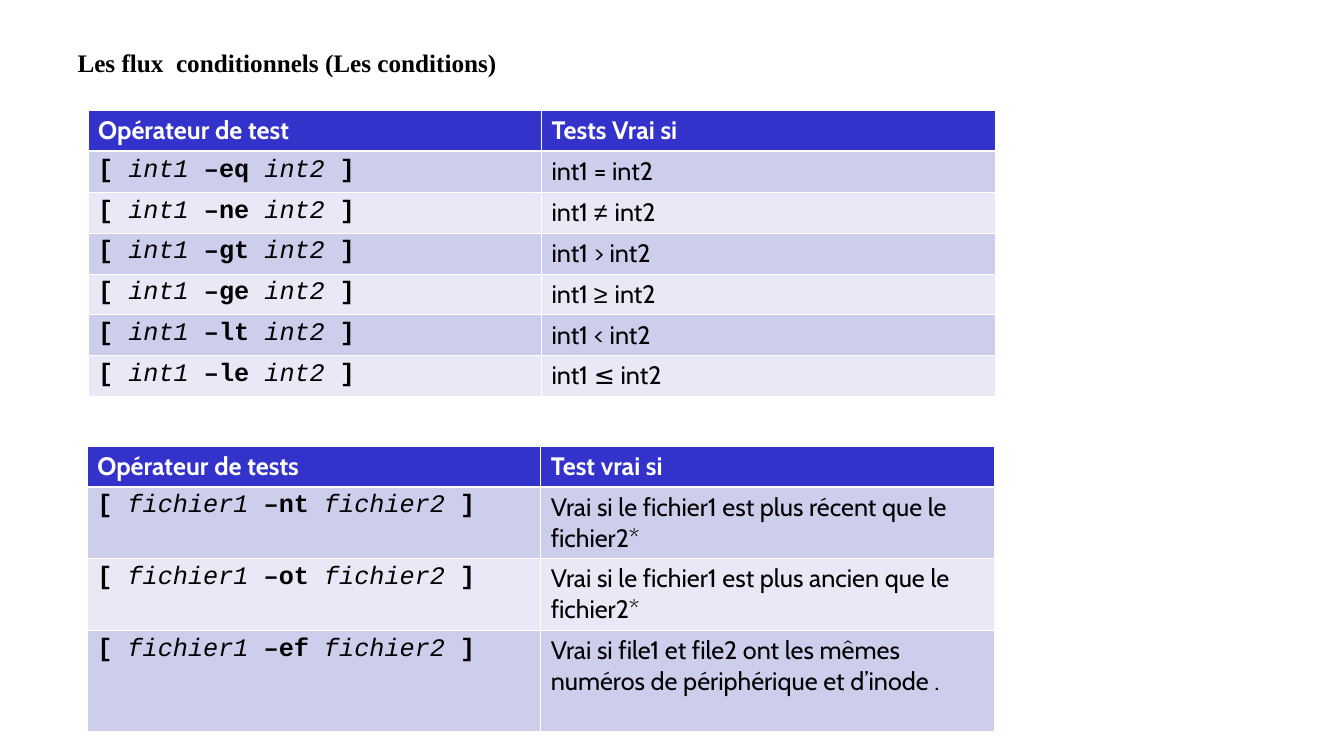
from dataclasses import dataclass

from lxml import etree
from pptx import Presentation
from pptx.dml.color import RGBColor
from pptx.enum.text import MSO_ANCHOR, PP_ALIGN
from pptx.oxml.ns import qn
from pptx.util import Cm, Pt

TOP = MSO_ANCHOR.TOP
LEFT = PP_ALIGN.LEFT
TITLE_ONLY = 5


@dataclass(frozen=True)
class Theme:
    head: str = "3333CC"
    bands: tuple[str, str] = ("CDCDEC", "E8E8F6")
    white: str = "FFFFFF"
    black: str = "000000"
    size: float = 18
    title: str = "Times New Roman"
    body: str = "Cabin"
    code: str = "Courier New"
    symbol: str = "Arial"
    thin: float = 0.45
    thick: float = 1.47


@dataclass(frozen=True)
class Test:
    flag: str
    truth: str


@dataclass(frozen=True)
class Grid:
    left: float
    top: float
    heads: tuple[str, str]
    args: tuple[str, str]
    tests: list[Test]
    heights: list[float]


THEME = Theme()
COLUMN = 11.43

INTS = Grid(
    2.22, 2.78, ("Opérateur de test", "Tests Vrai si"), ("int1", "int2"),
    [
        Test("–eq", "int1 = int2"),
        Test("–ne", "int1 ≠ int2"),
        Test("–gt", "int1 > int2"),
        Test("–ge", "int1 ≥ int2"),
        Test("–lt", "int1 < int2"),
        Test("–le", "int1 ≤ int2"),
    ],
    [1.03] * 7,
)
FILES = Grid(
    2.2, 11.24, ("Opérateur de tests", "Test vrai si"), ("fichier1", "fichier2"),
    [
        Test("–nt", "Vrai si le fichier1 est plus récent que le fichier2*"),
        Test("–ot", "Vrai si le fichier1 est plus ancien que le fichier2*"),
        Test("–ef", "Vrai si file1 et file2 ont les mêmes numéros de périphérique et d’inode ."),
    ],
    [1.02, 1.8, 1.8, 2.55],
)


def set_font(para, name: str, color: str) -> None:
    para.font.name = name
    para.font.size = Pt(THEME.size)
    para.font.color.rgb = RGBColor.from_string(color)


def add_edges(cell, row: int) -> None:
    """Draw white cell borders, thicker between the header and the body."""
    widths = {
        "a:lnL": THEME.thin,
        "a:lnR": THEME.thin,
        "a:lnT": THEME.thick if row == 1 else THEME.thin,
        "a:lnB": THEME.thick if row == 0 else THEME.thin,
    }
    props = cell._tc.get_or_add_tcPr()
    for spot, (tag, width) in enumerate(widths.items()):
        line = etree.Element(qn(tag), w=str(Pt(width)))
        fill = etree.SubElement(line, qn("a:solidFill"))
        etree.SubElement(fill, qn("a:srgbClr"), val=THEME.white)
        props.insert(spot, line)


def write_head(para, text: str) -> None:
    para.add_run().text = text
    set_font(para, THEME.body, THEME.white)
    para.font.bold = True


def write_code(para, args: tuple[str, str], flag: str) -> None:
    """Write a test with bold syntax and italic arguments."""
    first, second = args
    parts = ["[ ", f"{first} ", f"{flag} ", second, " ]"]
    for spot, part in enumerate(parts):
        run = para.add_run()
        run.text = part
        run.font.bold = spot % 2 == 0
        run.font.italic = spot % 2 == 1
    set_font(para, THEME.code, THEME.black)


def write_truth(para, text: str) -> None:
    """Write the meaning of a test, with ≠ and ≥ in the symbol font."""
    mark = next((sign for sign in "≠≥" if sign in text), "")
    before, sign, after = text.partition(f"{mark} ") if mark else (text, "", "")
    for part in filter(None, (before, sign, after)):
        run = para.add_run()
        run.text = part
        if part == sign:
            run.font.name = THEME.symbol
    set_font(para, THEME.body, THEME.black)


def add_grid(slide, grid: Grid) -> None:
    table = slide.shapes.add_table(
        len(grid.heights), 2, Cm(grid.left), Cm(grid.top),
        Cm(2 * COLUMN), Cm(sum(grid.heights)),
    ).table
    for column in table.columns:
        column.width = Cm(COLUMN)
    for row, height in enumerate(grid.heights):
        table.rows[row].height = Cm(height)
        color = THEME.bands[(row - 1) % 2] if row else THEME.head
        for col in range(2):
            cell = table.cell(row, col)
            cell.fill.solid()
            cell.fill.fore_color.rgb = RGBColor.from_string(color)
            add_edges(cell, row)
        left, right = (cell.text_frame.paragraphs[0] for cell in table.rows[row].cells)
        if row == 0:
            write_head(left, grid.heads[0])
            write_head(right, grid.heads[1])
        else:
            test = grid.tests[row - 1]
            write_code(left, grid.args, test.flag)
            write_truth(right, test.truth)


def add_title(slide, text: str) -> None:
    title = slide.shapes.title
    title.left, title.top = Cm(1.7), Cm(1.07)
    title.width, title.height = Cm(26.72), Cm(1.02)
    frame = title.text_frame
    frame.text = text
    frame.word_wrap = True
    frame.vertical_anchor = TOP
    para = frame.paragraphs[0]
    para.alignment = LEFT
    para.line_spacing = 1.0
    set_font(para, THEME.title, THEME.black)
    para.font.bold = True


def main() -> None:
    deck = Presentation()
    deck.slide_width, deck.slide_height = Cm(33.88), Cm(19.05)
    slide = deck.slides.add_slide(deck.slide_layouts[TITLE_ONLY])
    add_title(slide, "Les flux  conditionnels (Les conditions)")
    for grid in (INTS, FILES):
        add_grid(slide, grid)
    deck.save("out.pptx")


if __name__ == "__main__":
    main()
